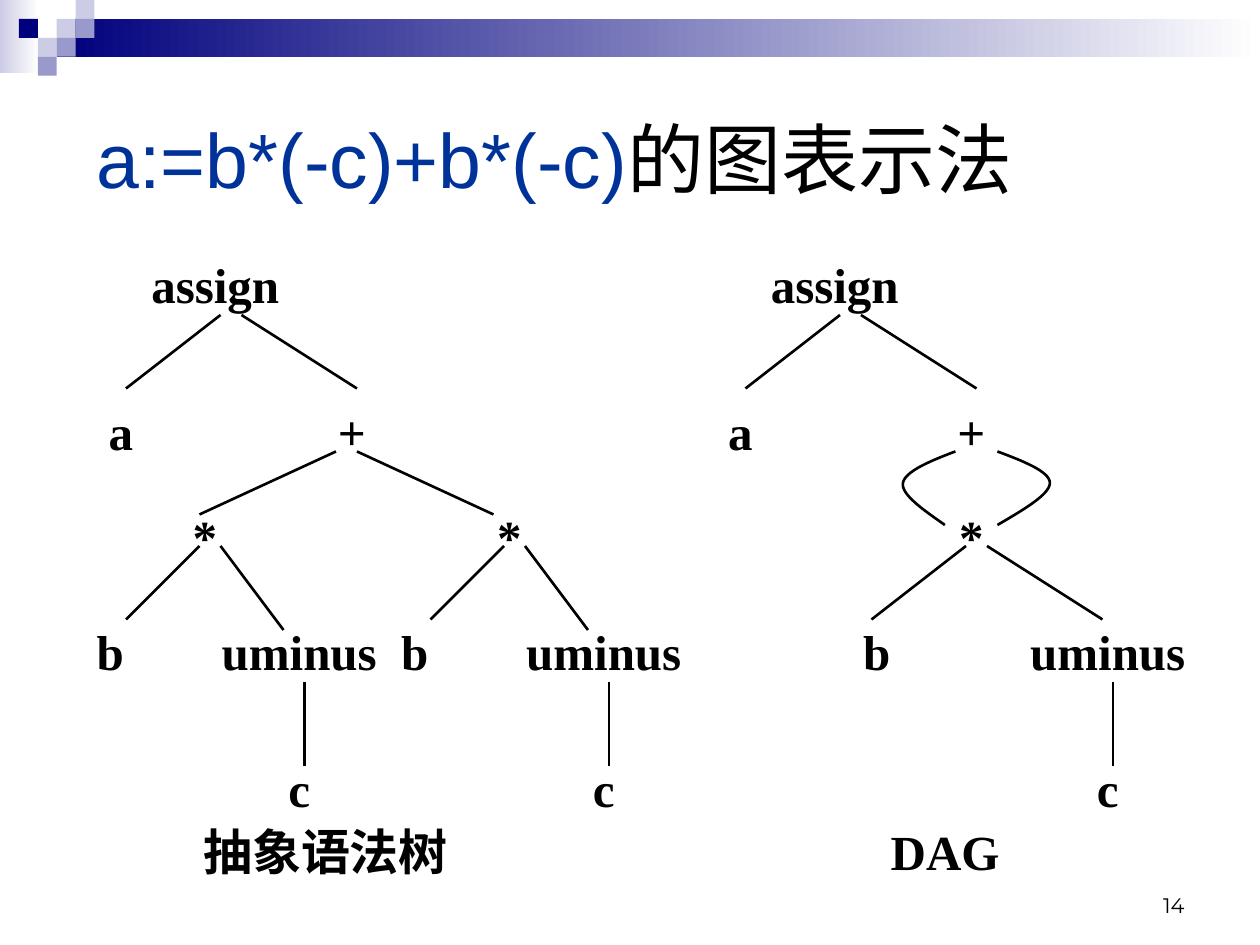
"""Build a slide that sets a syntax tree beside its DAG."""
from lxml.etree import SubElement
from pptx import Presentation
from pptx.dml.color import RGBColor
from pptx.enum.shapes import MSO_CONNECTOR, MSO_SHAPE
from pptx.enum.text import MSO_ANCHOR, PP_ALIGN
from pptx.oxml.ns import qn
from pptx.util import Pt

PX = 7620
CELL = 18
PAD = 40
BLACK, NAVY, PALE, MID = "000000", "00007D", "CCCCE6", "9999CC"
NODE = dict(size=Pt(28), name="Times New Roman", bold=True)
HEAD = dict(size=Pt(44), name="Arial", bold=False)
FOOT = dict(size=Pt(12), name="Montserrat", bold=False)

TITLE = [(" a:=b*(-c)+b*(-c)", "003399"), ("的图表示法", BLACK)]
BANDS = [((0, 0, 37, 70), PALE), ((54, 18, 1146, 36), NAVY)]
TILES = [(3, 1, PALE), (4, 0, PALE), (4, 1, MID), (2, 2, PALE),
         (1, 1, NAVY), (3, 2, MID), (2, 3, MID)]
ROOTS = [50, 640]
# Star left edge, uminus shift, then the x shift and y of both branch ends
STARS = [(130, 90, (-10, 590), (140, 600)),
         (420, 90, (-10, 590), (140, 600)),
         (860, 130, (-30, 590), (190, 590))]
FORKS = [((320, 430), (190, 490)), ((340, 430), (470, 490))]
LOOPS = [
    [(910, 430), (886, 439), (862, 449), (860, 460),
     (858, 471), (880, 486), (900, 500)],
    [(950, 430), (974, 439), (1000, 449), (1000, 460),
     (1000, 471), (974, 486), (950, 500)],
]
NAMES = [("抽象语法树", 210), ("DAG", 800)]

deck = Presentation()
deck.slide_width, deck.slide_height = 1200 * PX, 900 * PX
slide = deck.slides.add_slide(deck.slide_layouts[6])
shapes = slide.shapes


def color(code):
    return RGBColor.from_string(code)


def scale(nums):
    return [n * PX for n in nums]


def rect(box, code, fade=False):
    item = shapes.add_shape(MSO_SHAPE.RECTANGLE, *scale(box))
    item.shadow.inherit = False
    item.line.fill.background()
    if fade:
        item.fill.gradient()
        item.fill.gradient_angle = 0
        for stop, tint in zip(item.fill.gradient_stops, (code, "FFFFFF")):
            stop.color.rgb = color(tint)
    else:
        item.fill.solid()
        item.fill.fore_color.rgb = color(code)


def text(box, runs, style, align, anchor=MSO_ANCHOR.MIDDLE):
    frame = shapes.add_textbox(*scale(box)).text_frame
    frame.word_wrap, frame.vertical_anchor = True, anchor
    para = frame.paragraphs[0]
    para.alignment = align
    for words, code in runs:
        run = para.add_run()
        run.text = words
        run.font.color.rgb = color(code)
        for key, value in style.items():
            setattr(run.font, key, value)


def node(words, x, y, wide=130):
    box = (x - PAD, y, wide + 2 * PAD, 80)
    text(box, [(words, BLACK)], NODE, PP_ALIGN.CENTER)


def ink(item):
    item.line.color.rgb = color(BLACK)
    item.line.width = Pt(1.5)


def edge(start, end):
    item = shapes.add_connector(MSO_CONNECTOR.STRAIGHT, *scale(start + end))
    ink(item)
    SubElement(item.element.spPr, qn("a:effectLst"))


def bezier(a, b, c, d, steps=16):
    for i in range(1, steps + 1):
        t = i / steps
        u = 1 - t
        yield tuple(round((u**3 * p + 3 * u * u * t * q + 3 * u * t * t * r + t**3 * s) * PX)
                    for p, q, r, s in zip(a, b, c, d))


def loop(pts):
    form = shapes.build_freeform(*scale(pts[0]), scale=1.0)
    form.add_line_segments([*bezier(*pts[:4]), *bezier(*pts[3:])], close=False)
    item = form.convert_to_shape()
    item.shadow.inherit = False
    item.fill.background()
    ink(item)


def root(x):
    node("assign", x + 90, 230)
    node("a", x, 370)
    node("+", x + 220, 370)
    edge((x + 160, 300), (x + 70, 370))
    edge((x + 180, 300), (x + 290, 370))


def branch(x, shift, left, right):
    minus = x + shift
    node("*", x, 470)
    node("b", x - 90, 580)
    node("uminus", minus, 580)
    node("c", minus, 710)
    edge((x + 60, 520), (x + left[0], left[1]))
    edge((x + 80, 520), (x + right[0], right[1]))
    edge((minus + 70, 650), (minus + 70, 730))


for box, code in BANDS:
    rect(box, code, fade=True)
for col, row, code in TILES:
    rect((col * CELL, row * CELL, CELL, CELL), code)

text((860, 820, 280, 60), [("14", BLACK)], FOOT, PP_ALIGN.RIGHT, MSO_ANCHOR.BOTTOM)
text((60, 60, 1080, 180), TITLE, HEAD, PP_ALIGN.LEFT)

for x in ROOTS:
    root(x)
for star in STARS:
    branch(*star)
for start, end in FORKS:
    edge(start, end)
for pts in LOOPS:
    loop(pts)
for words, x in NAMES:
    node(words, x, 770, 200)

deck.save("out.pptx")
